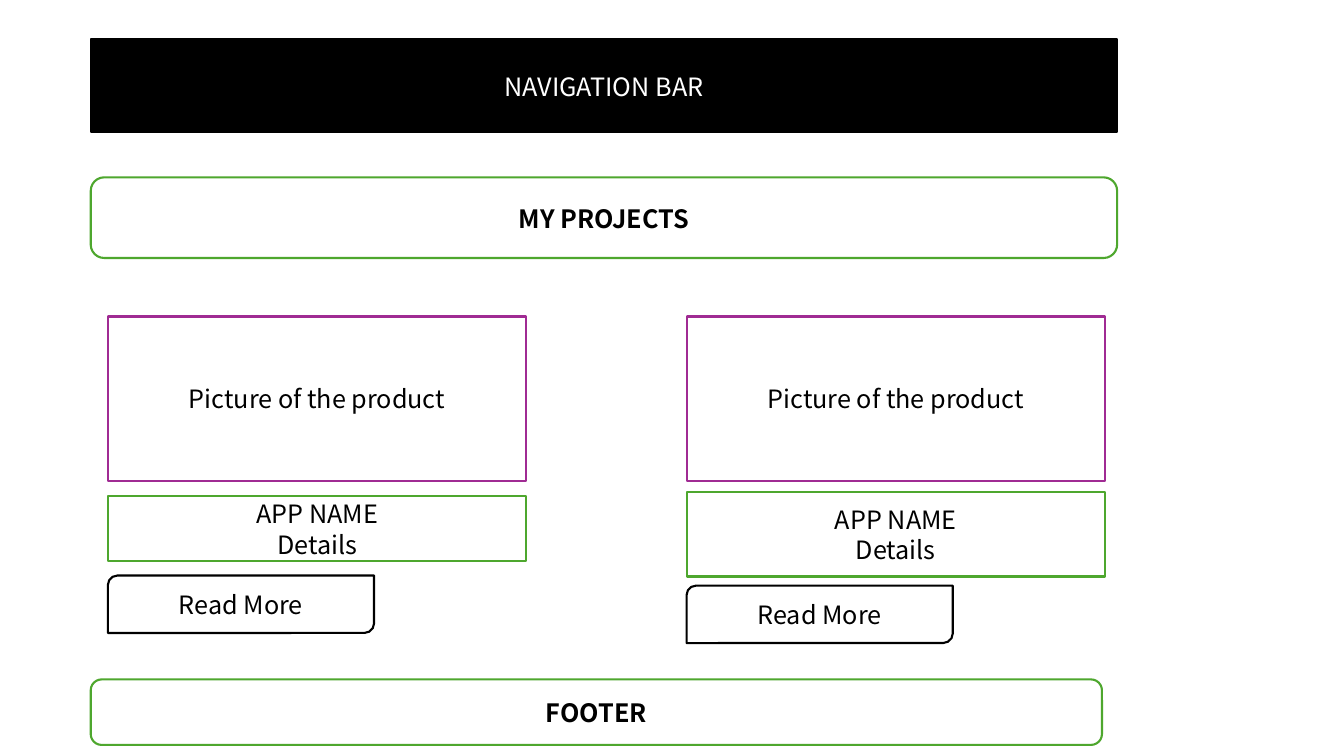
import pptx
import pptx.dml.color
import pptx.enum.shapes
import pptx.enum.text
import pptx.util
from pptx.util import Inches

BLACK = pptx.dml.color.RGBColor(0x00, 0x00, 0x00)
WHITE = pptx.dml.color.RGBColor(0xFF, 0xFF, 0xFF)
GREEN = pptx.dml.color.RGBColor(0x4E, 0xA7, 0x2E)
PURPLE = pptx.dml.color.RGBColor(0xA0, 0x2B, 0x93)
FONT = "Noto Sans CJK JP"
SHAPES = pptx.enum.shapes.MSO_SHAPE
LEFT_MARGIN = 0.9
BAR_WIDTH = 10.18
CARD_WIDTH = 4.15


def add_box(slide, kind, left, top, width, height, lines, outline,
            fill=WHITE, color=BLACK, bold=False):
    shape = slide.shapes.add_shape(
        kind, Inches(left), Inches(top), Inches(width), Inches(height))
    shape.shadow.inherit = False
    shape.fill.solid()
    shape.fill.fore_color.rgb = fill
    shape.line.color.rgb = outline
    shape.line.width = pptx.util.Pt(1.5)
    frame = shape.text_frame
    frame.word_wrap = True
    frame.vertical_anchor = pptx.enum.text.MSO_ANCHOR.MIDDLE
    frame.text = "\n".join(lines)
    for paragraph in frame.paragraphs:
        paragraph.alignment = pptx.enum.text.PP_ALIGN.CENTER
        paragraph.line_spacing = pptx.util.Pt(22)
        paragraph.font.name = FONT
        paragraph.font.size = pptx.util.Pt(18)
        paragraph.font.bold = bold
        paragraph.font.color.rgb = color


def add_banner(slide, top, width, height, text):
    add_box(slide, SHAPES.ROUNDED_RECTANGLE, LEFT_MARGIN, top, width, height,
            [text], GREEN, bold=True)


def add_project_card(slide, left, details_top, details_height, button_top):
    add_box(slide, SHAPES.RECTANGLE, left, 3.14, CARD_WIDTH, 1.63,
            ["Picture of the product"], PURPLE)
    add_box(slide, SHAPES.RECTANGLE, left, details_top, CARD_WIDTH,
            details_height, ["APP NAME", "Details"], GREEN)
    add_box(slide, SHAPES.ROUND_2_DIAG_RECTANGLE, left, button_top, 2.64, 0.57,
            ["Read More"], BLACK)


def main():
    presentation = pptx.Presentation()
    presentation.slide_width = Inches(13.33)
    presentation.slide_height = Inches(7.5)
    slide = presentation.slides.add_slide(presentation.slide_layouts[6])

    add_box(slide, SHAPES.RECTANGLE, LEFT_MARGIN, 0.39, BAR_WIDTH, 0.92,
            ["NAVIGATION BAR"], BLACK, fill=BLACK, color=WHITE)
    add_banner(slide, 1.76, BAR_WIDTH, 0.8, "MY PROJECTS")
    add_project_card(slide, 1.07, 4.92, 0.65, 5.71)
    add_project_card(slide, 6.81, 4.88, 0.84, 5.81)
    add_banner(slide, 6.74, 10.03, 0.65, "FOOTER")

    presentation.save("out.pptx")


if __name__ == "__main__":
    main()
